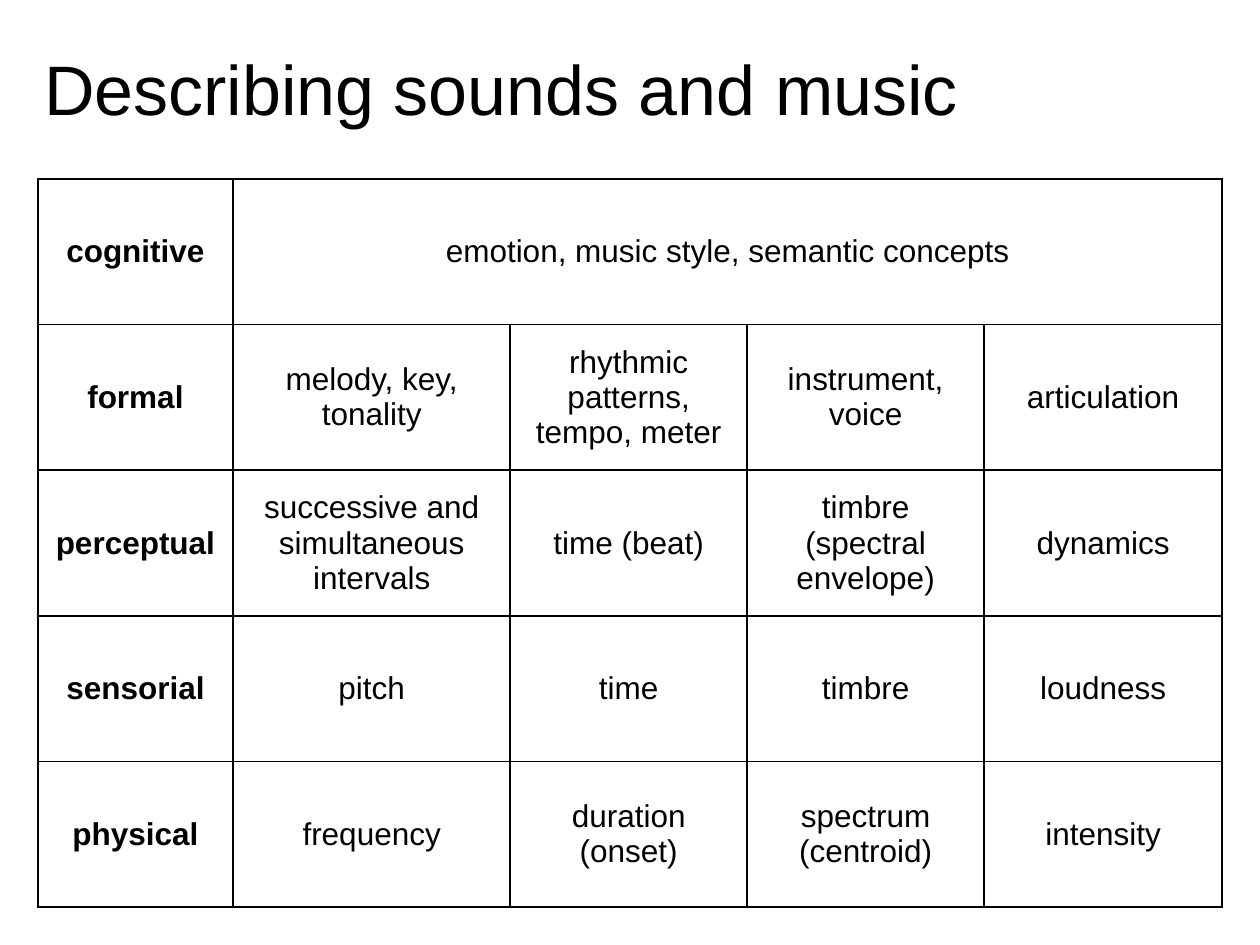
from dataclasses import dataclass

from lxml import etree
from pptx import Presentation
from pptx import util as u
from pptx.dml.color import RGBColor
from pptx.enum import text
from pptx.oxml import ns


@dataclass(frozen=True)
class Theme:
    font: str = "Arial"
    ink: RGBColor = RGBColor(0, 0, 0)
    paper: RGBColor = RGBColor(255, 255, 255)
    title_size: float = 40
    cell_size: float = 18
    rule: float = 1.13


THEME = Theme()
SLIDE_WIDTH, SLIDE_HEIGHT = u.Inches(10), u.Inches(7.5)

# Boxes are left, top, width, height in inches.
TITLE_BOX = (0.35, 0.19, 9.23, 1.01)
LEVELS_BOX = (0.3, 1.42, 9.4, 5.78)
COLUMN_WEIGHTS = (1.55, 2.2, 1.88, 1.88, 1.89)

LEVELS = [
    ("cognitive", "emotion, music style, semantic concepts"),
    ("formal", "melody, key, tonality", "rhythmic patterns, tempo, meter",
     "instrument, voice", "articulation"),
    ("perceptual", "successive and simultaneous intervals", "time (beat)",
     "timbre (spectral envelope)", "dynamics"),
    ("sensorial", "pitch", "time", "timbre", "loudness"),
    ("physical", "frequency", "duration (onset)", "spectrum (centroid)", "intensity"),
]


def add_run(paragraph, words, size, bold=False):
    run = paragraph.add_run()
    run.text = words
    run.font.name = THEME.font
    run.font.size = u.Pt(size)
    run.font.bold = bold
    run.font.color.rgb = THEME.ink


def rule_cell(cell):
    """Draw all four borders; they must come before the fill in the cell's XML."""
    properties = cell._tc.get_or_add_tcPr()
    for position, side in enumerate(("lnL", "lnR", "lnT", "lnB")):
        border = etree.Element(ns.qn(f"a:{side}"), w=str(u.Pt(THEME.rule)))
        fill = etree.SubElement(border, ns.qn("a:solidFill"))
        etree.SubElement(fill, ns.qn("a:srgbClr"), val=str(THEME.ink))
        properties.insert(position, border)


def place_title(slide, box, words):
    title = slide.shapes.title
    title.left, title.top, title.width, title.height = map(u.Inches, box)
    frame = title.text_frame
    frame.margin_left = frame.margin_right = frame.margin_top = frame.margin_bottom = 0
    frame.vertical_anchor = text.MSO_ANCHOR.MIDDLE
    frame.word_wrap = True
    frame.auto_size = text.MSO_AUTO_SIZE.NONE
    paragraph = frame.paragraphs[0]
    paragraph.alignment = text.PP_ALIGN.LEFT
    add_run(paragraph, words, THEME.title_size)


def place_levels(slide, box, levels):
    """One row per level of description; a short row's last entry spans the rest."""
    left, top, width, height = map(u.Inches, box)
    columns = len(COLUMN_WEIGHTS)
    table = slide.shapes.add_table(len(levels), columns, left, top, width, height).table
    table.first_row = table.horz_banding = False
    for column, weight in zip(table.columns, COLUMN_WEIGHTS):
        column.width = round(width * weight / sum(COLUMN_WEIGHTS))

    for row, level in enumerate(levels):
        for column in range(columns):
            cell = table.cell(row, column)
            cell.fill.solid()
            cell.fill.fore_color.rgb = THEME.paper
            rule_cell(cell)
        if len(level) < columns:
            table.cell(row, len(level) - 1).merge(table.cell(row, columns - 1))
        for column, words in enumerate(level):
            cell = table.cell(row, column)
            cell.vertical_anchor = text.MSO_ANCHOR.MIDDLE
            paragraph = cell.text_frame.paragraphs[0]
            paragraph.alignment = text.PP_ALIGN.CENTER
            add_run(paragraph, words, THEME.cell_size, bold=column == 0)


def main():
    deck = Presentation()
    deck.slide_width, deck.slide_height = SLIDE_WIDTH, SLIDE_HEIGHT
    slide = deck.slides.add_slide(deck.slide_layouts.get_by_name("Title Only"))
    slide.background.fill.solid()
    slide.background.fill.fore_color.rgb = THEME.paper
    place_title(slide, TITLE_BOX, "Describing sounds and music")
    place_levels(slide, LEVELS_BOX, LEVELS)
    deck.save("out.pptx")


if __name__ == "__main__":
    main()
